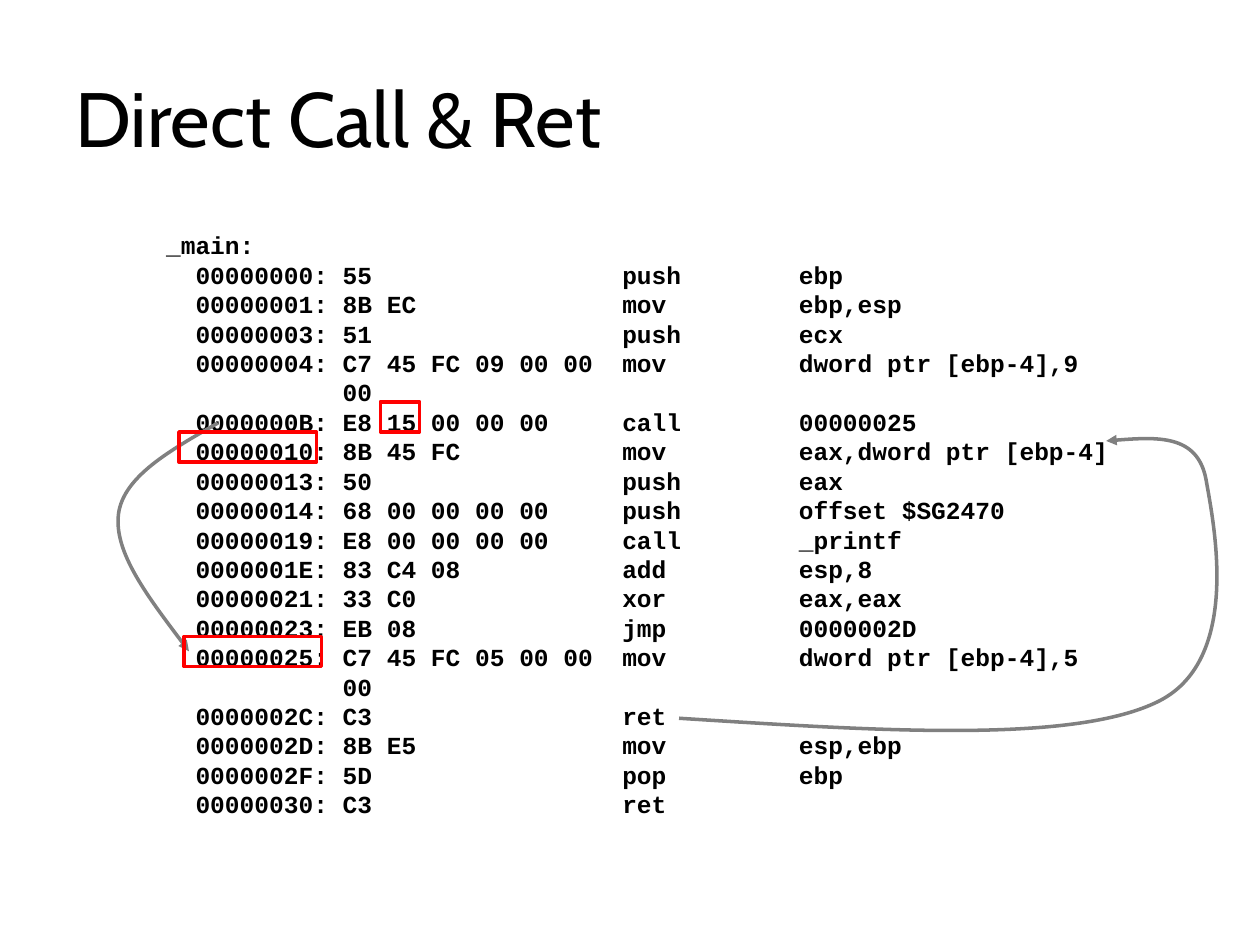
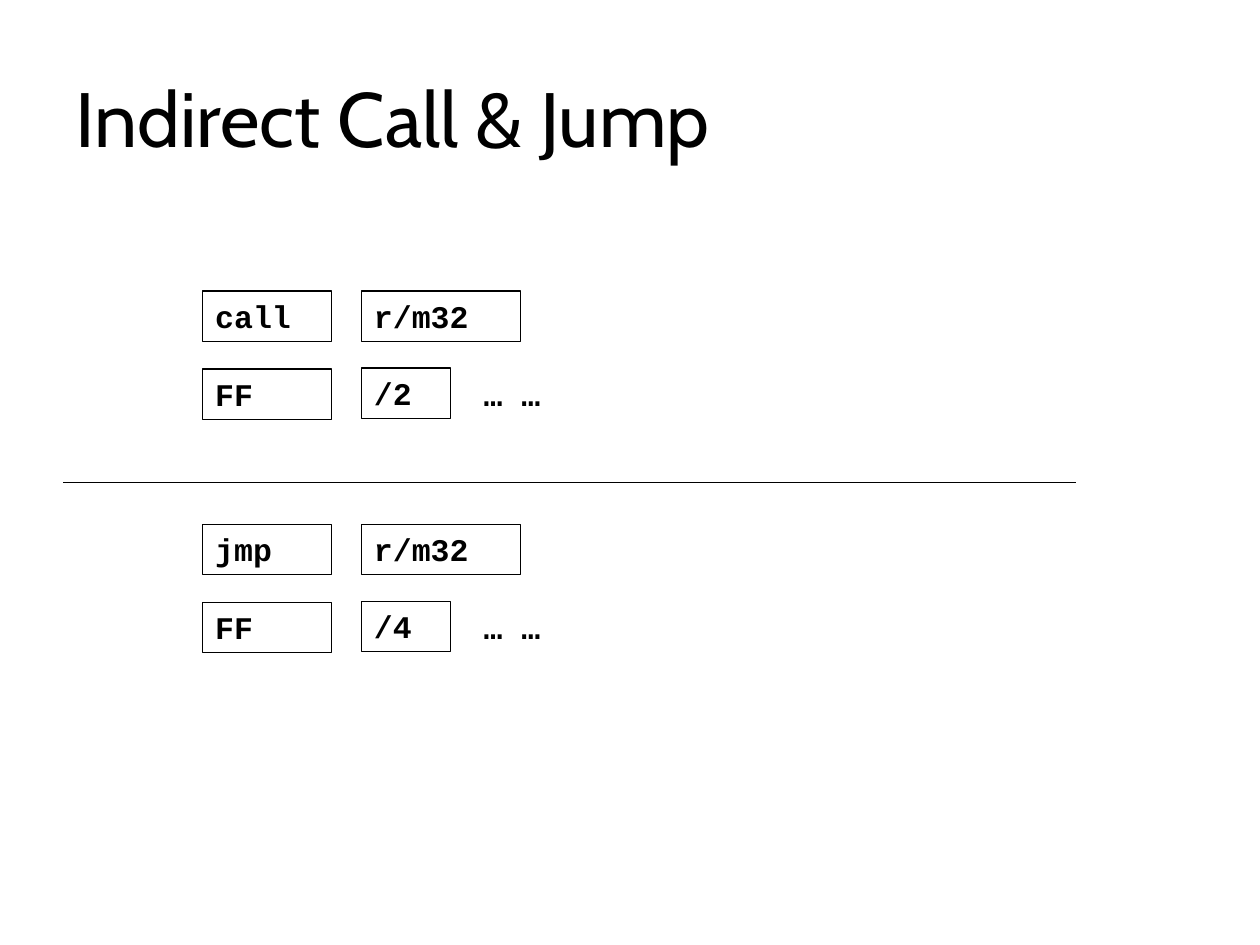
import pptx
import pptx.dml.color
import pptx.enum.shapes
import pptx.enum.text
import pptx.oxml.ns
import pptx.util
from lxml import etree

Cm = pptx.util.Cm
Pt = pptx.util.Pt
RGBColor = pptx.dml.color.RGBColor
qn = pptx.oxml.ns.qn

BLACK = RGBColor(0x00, 0x00, 0x00)
GREY = RGBColor(0x80, 0x80, 0x80)
RED = RGBColor(0xFF, 0x00, 0x00)
HEAD = "Cabin"
MONO = "Courier New"
LEADING = 1.2

CODE = [
    ("00000000:", "55", "push", "ebp"),
    ("00000001:", "8B EC", "mov", "ebp,esp"),
    ("00000003:", "51", "push", "ecx"),
    ("00000004:", "C7 45 FC 09 00 00", "mov", "dword ptr [ebp-4],9"),
    ("", "00", "", ""),
    ("0000000B:", "E8 15 00 00 00", "call", "00000025"),
    ("00000010:", "8B 45 FC", "mov", "eax,dword ptr [ebp-4]"),
    ("00000013:", "50", "push", "eax"),
    ("00000014:", "68 00 00 00 00", "push", "offset $SG2470"),
    ("00000019:", "E8 00 00 00 00", "call", "_printf"),
    ("0000001E:", "83 C4 08", "add", "esp,8"),
    ("00000021:", "33 C0", "xor", "eax,eax"),
    ("00000023:", "EB 08", "jmp", "0000002D"),
    ("00000025:", "C7 45 FC 05 00 00", "mov", "dword ptr [ebp-4],5"),
    ("", "00", "", ""),
    ("0000002C:", "C3", "ret", ""),
    ("0000002D:", "8B E5", "mov", "esp,ebp"),
    ("0000002F:", "5D", "pop", "ebp"),
    ("00000030:", "C3", "ret", ""),
]

CALL = [(4.39, 8.53), (3.45, 9.07), (2.49, 9.6), (2.39, 10.36),
        (2.29, 11.13), (3.05, 12.12), (3.81, 13.13)]
RET = [(13.69, 14.48), (17.63, 14.73), (21.54, 14.99), (23.29, 14.17),
       (25.07, 13.36), (24.46, 10.52), (24.31, 9.65),
       (24.13, 8.76), (23.22, 8.81), (22.3, 8.89)]
MARKS = [(7.67, 8.1, 0.79), (3.61, 8.71, 2.77), (3.71, 12.83, 2.77)]


def write(body, text, font=MONO, size=18, bold=True, lead=LEADING,
          anchor=pptx.enum.text.MSO_ANCHOR.TOP):
    """Fill a text frame with one paragraph per line of text."""
    body.word_wrap = True
    body.vertical_anchor = anchor
    for i, line in enumerate(text.split("\n")):
        para = body.paragraphs[0] if i == 0 else body.add_paragraph()
        para.alignment = pptx.enum.text.PP_ALIGN.LEFT
        if lead:
            para.line_spacing = Pt(lead * size)
        run = para.add_run()
        run.text = line
        run.font.name = font
        run.font.size = Pt(size)
        run.font.bold = bold
        run.font.color.rgb = BLACK


def label(slide, place, text, **form):
    """Add a plain text box."""
    box = slide.shapes.add_textbox(*map(Cm, place))
    write(box.text_frame, text, **form)


def outline(shape, color, width):
    """Give a shape a line and neither fill nor shadow."""
    shape.shadow.inherit = False
    shape.fill.background()
    shape.line.color.rgb = color
    shape.line.width = Pt(width)


def frame(slide, place, text="", color=BLACK, width=0.75):
    """Add an outlined rectangle, with text if there is any."""
    kind = pptx.enum.shapes.MSO_SHAPE.RECTANGLE
    box = slide.shapes.add_shape(kind, *map(Cm, place))
    outline(box, color, width)
    if text:
        write(box.text_frame, text)


def curve(slide, points):
    """Draw a grey Bezier arrow through start, control and end points."""
    spots = [(Cm(x), Cm(y)) for x, y in points]
    build = slide.shapes.build_freeform(*spots[0])
    build.add_line_segments(spots[1:], close=False)
    shape = build.convert_to_shape()
    outline(shape, GREY, 2)
    track = next(shape.element.iter(qn("a:path")))
    steps = track.findall(qn("a:lnTo"))
    for i in range(0, len(steps), 3):
        bend = etree.SubElement(track, qn("a:cubicBezTo"))
        for step in steps[i:i + 3]:
            bend.append(step[0])
            track.remove(step)
    line = shape.element.spPr.find(qn("a:ln"))
    etree.SubElement(line, qn("a:tailEnd")).set("type", "triangle")


def rule(slide, left, right, top):
    """Draw a thin black level line."""
    kind = pptx.enum.shapes.MSO_CONNECTOR.STRAIGHT
    line = slide.shapes.add_connector(kind, Cm(left), Cm(top), Cm(right), Cm(top))
    line.line.color.rgb = BLACK
    line.line.width = Pt(0.75)
    etree.SubElement(line.element.spPr, qn("a:effectLst"))


def start(deck, title):
    """Add a blank slide with its title."""
    slide = deck.slides.add_slide(deck.slide_layouts[6])
    label(slide, (1.27, 0.76, 22.86, 3.18), title, font=HEAD, size=44,
          bold=False, lead=None, anchor=pptx.enum.text.MSO_ANCHOR.MIDDLE)
    return slide


def listing():
    """Return the code in fixed columns below its label."""
    rows = [f"  {spot:9} {data:17}  {name:12}{args}".rstrip()
            for spot, data, name, args in CODE]
    return "\n".join(["_main:"] + rows)


def form(slide, top, name, digit):
    """Show an instruction above its encoding."""
    low = top + 1.57
    frame(slide, (4.09, top, 2.59, 1.02), name)
    frame(slide, (7.29, top, 3.2, 1.02), "r/m32")
    frame(slide, (4.09, low, 2.59, 1.02), "FF")
    label(slide, (9.5, low, 3.2, 1.02), "… …")
    frame(slide, (7.29, low - 0.02, 1.8, 1.02), digit)


def main():
    """Build both slides and save them."""
    deck = pptx.Presentation()
    deck.slide_width, deck.slide_height = Cm(25.4), Cm(19.05)

    slide = start(deck, "Direct Call & Ret")
    label(slide, (3.1, 4.52, 19.81, 12.12), listing(), size=14)
    for points in (CALL, RET):
        curve(slide, points)
    for left, top, width in MARKS:
        frame(slide, (left, top, width, 0.61), color=RED, width=2)

    slide = start(deck, "Indirect Call & Jump")
    form(slide, 5.87, "call", "/2")
    rule(slide, 1.27, 21.69, 9.73)
    form(slide, 10.57, "jmp", "/4")

    deck.save("out.pptx")


if __name__ == "__main__":
    main()
